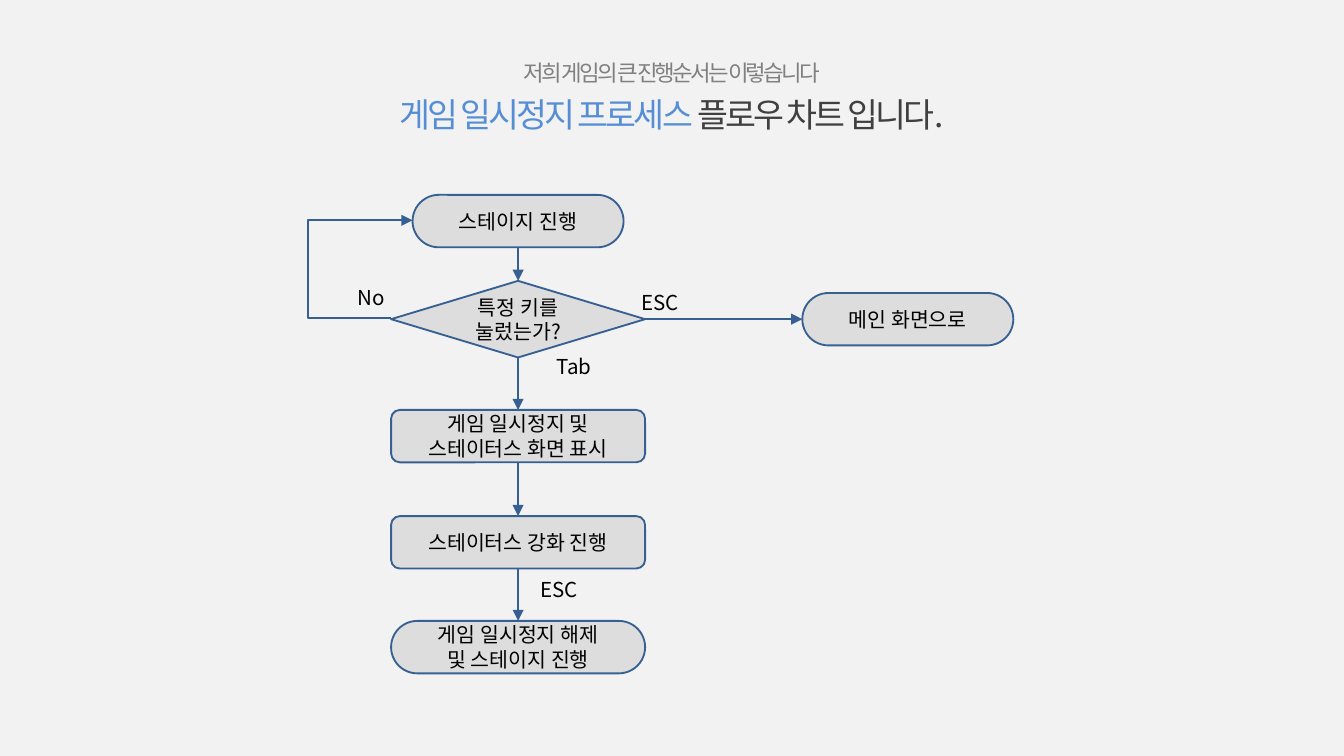
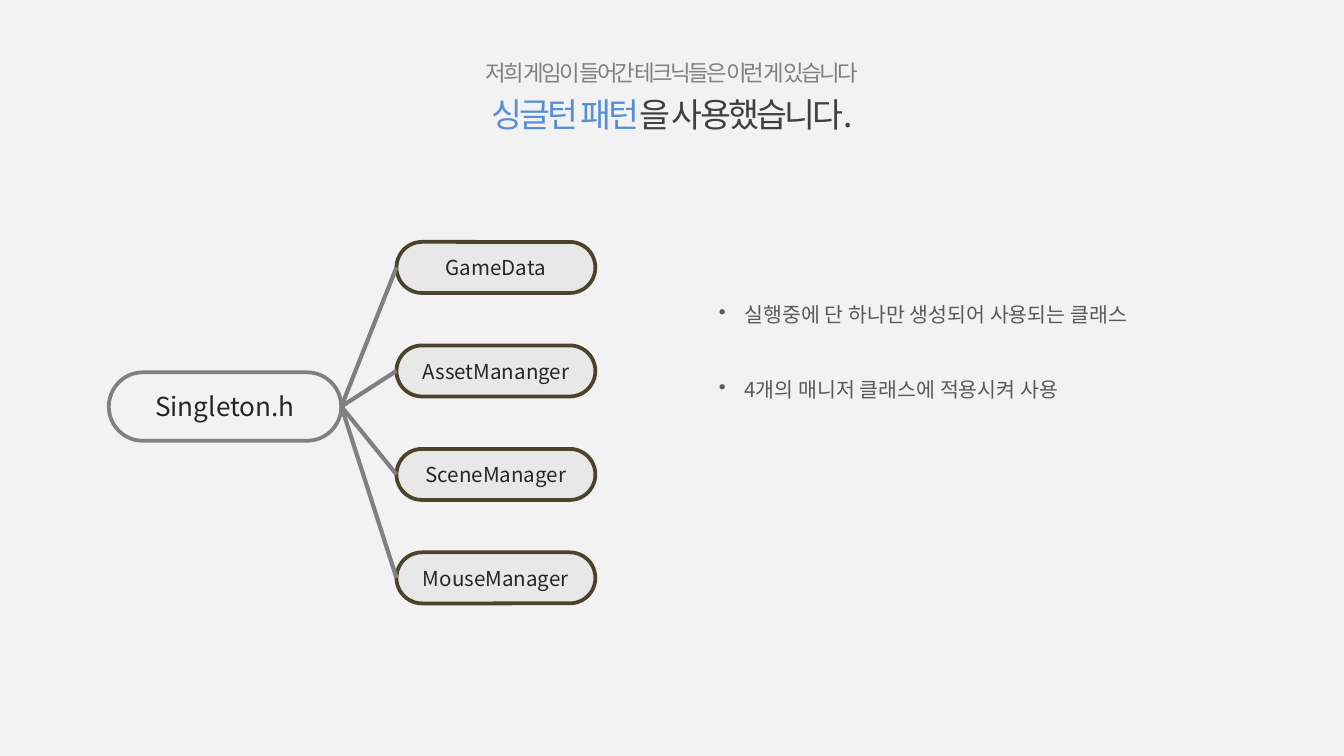
from lxml import etree
from pptx import Presentation, util as u
from pptx.dml.color import RGBColor
from pptx.enum import shapes, text
from pptx.oxml.ns import qn

FONT = "Noto Sans CJK KR"
HUE = {
    "back": "F2F2F2", "lead": "808080", "key": "558ED5", "title": "404040",
    "node": "BFBFBF", "edge": "376092", "black": "000000", "body": "595959",
    "root": "F2F2F2", "wire": "808080", "leaf": "D9D9D9", "rim": "4A452A",
    "name": "262626",
}
KIND = shapes.MSO_SHAPE
PILL, BOX, ASK = (KIND.ROUNDED_RECTANGLE, KIND.FLOWCHART_ALTERNATE_PROCESS,
                  KIND.FLOWCHART_DECISION)
TOP, LEFT, BOTTOM, RIGHT = range(4)  # connection sites
CENTER = text.PP_ALIGN.CENTER


def px(n):
    return u.Emu(int(n * 9144))


def rgb(key):
    return RGBColor.from_string(HUE[key])


def add(node, tag, **attrs):
    return etree.SubElement(node, qn(tag), attrs)


def style(font, size, hue):
    font.size = u.Pt(size)
    font.color.rgb = rgb(hue)
    font.name = FONT
    add(font._element, "a:ea", typeface=FONT)


def textbox(slide, box):
    frame = slide.shapes.add_textbox(*map(px, box)).text_frame
    frame.word_wrap = True
    return frame


def heading(slide, lead, *parts):
    """Small grey lead line above a two-colour title."""
    frame = textbox(slide, (50, 23, 900, 94))
    frame.vertical_anchor = text.MSO_ANCHOR.MIDDLE
    para = frame.paragraphs[0]
    para.alignment, para.line_spacing = CENTER, 1.2
    rows = [(lead, 12, "lead"), (parts[0], 18, "key"), (parts[1], 18, "title")]
    for i, (words, size, hue) in enumerate(rows):
        if i == 1:
            para.add_line_break()
            add(para._p[-1], "a:rPr", sz="1200")
        run = para.add_run()
        run.text = words
        style(run.font, size, hue)
        run.font._element.set("spc", "-150")


def label(slide, x, y, words, w=62):
    frame = textbox(slide, (x, y, w, 34))
    frame.auto_size = text.MSO_AUTO_SIZE.SHAPE_TO_FIT_TEXT
    para = frame.paragraphs[0]
    para.text = words
    para.alignment, para.line_spacing = CENTER, 1.5
    style(para.font, 11, "black")


def bullets(slide, box, items):
    frame = textbox(slide, box)
    frame.auto_size = text.MSO_AUTO_SIZE.SHAPE_TO_FIT_TEXT
    for i, item in enumerate(items):
        para = frame.add_paragraph() if i else frame.paragraphs[0]
        para.text = item
        props = para._p.get_or_add_pPr()
        props.set("marL", str(px(19)))
        props.set("indent", str(px(-19)))
        add(props, "a:buChar", char="•")
        para.line_spacing = 1.5
        if i < len(items) - 1:
            para.space_after = u.Pt(20)
        style(para.font, 11, "body")


def node(slide, kind, box, lines, fill="node", edge="edge", width=1,
         size=11, hue="black"):
    """Outlined shape with a 40% opaque fill and centred lines."""
    shape = slide.shapes.add_shape(kind, *map(px, box))
    shape.shadow.inherit = False
    if kind == PILL:
        shape.adjustments[0] = 0.5
    shape.fill.solid()
    shape.fill.fore_color.rgb = rgb(fill)
    tint = shape._element.spPr.find(".//" + qn("a:srgbClr"))
    add(tint, "a:alpha", val="40000")
    shape.line.color.rgb = rgb(edge)
    shape.line.width = u.Pt(width)
    frame = shape.text_frame
    frame.word_wrap = True
    frame.vertical_anchor = text.MSO_ANCHOR.MIDDLE
    frame.margin_left = frame.margin_right = 0
    frame.margin_top = frame.margin_bottom = 0
    for i, words in enumerate(lines):
        para = frame.add_paragraph() if i else frame.paragraphs[0]
        para.text = words
        para.alignment = CENTER
        style(para.font, size, hue)
    return shape


def wire(slide, ends=(0, 0, 0, 0), bend=None, hue="edge", width=1, arrow=True):
    kinds = shapes.MSO_CONNECTOR
    kind = kinds.STRAIGHT if bend is None else kinds.ELBOW
    line = slide.shapes.add_connector(kind, *map(px, ends))
    line.line.color.rgb = rgb(hue)
    line.line.width = u.Pt(width)
    props = line._element.spPr
    if arrow:
        add(props.find(qn("a:ln")), "a:tailEnd", type="triangle")
    add(props, "a:effectLst")
    if bend is not None:
        guides = props.find(qn("a:prstGeom")).find(qn("a:avLst"))
        add(guides, "a:gd", name="adj1", fmla=f"val {round(bend * 100000)}")
    return line


def link(slide, start, out, end, into, **look):
    """Straight line glued to a site of each shape."""
    line = wire(slide, **look)
    line.begin_connect(start, out)
    line.end_connect(end, into)


def flow(slide):
    heading(slide, "저희 게임의 큰 진행순서는 이렇습니다",
            "게임 일시정지 프로세스 ", "플로우 차트 입니다.")
    steps = [
        (PILL, (307, 145, 157, 39), ["스테이지 진행"]),
        (ASK, (291, 209, 189, 57), ["특정 키를", "눌렀는가?"]),
        (BOX, (291, 305, 189, 39), ["게임 일시정지 및", "스테이터스 화면 표시"]),
        (BOX, (291, 384, 189, 39), ["스테이터스 강화 진행"]),
        (PILL, (291, 462, 189, 39), ["게임 일시정지 해제", "및 스테이지 진행"]),
    ]
    chain = [node(slide, *step) for step in steps]
    home = node(slide, PILL, (597, 218, 157, 39), ["메인 화면으로"])
    for upper, lower in zip(chain, chain[1:]):
        link(slide, upper, BOTTOM, lower, TOP)
    link(slide, chain[1], RIGHT, home, LEFT)
    wire(slide, (291, 237, 307, 164), bend=-3.88)
    label(slide, 245, 198, "No")
    label(slide, 460, 202, "ESC")
    label(slide, 396, 249, "Tab")
    label(slide, 385, 415, "ESC")


def pattern(slide):
    heading(slide, "저희 게임이 들어간 테크닉들은 이런 게 있습니다",
            "싱글턴 패턴", "을 사용했습니다.")
    bullets(slide, (525, 211, 394, 93),
            ["실행중에 단 하나만 생성되어 사용되는 클래스",
             "4개의 매니저 클래스에 적용시켜 사용"])
    root = node(slide, PILL, (81, 277, 173, 51), ["Singleton.h"],
                "root", "wire", 2, 14, "name")
    names = ["GameData", "AssetMananger", "SceneManager", "MouseManager"]
    leaves = [node(slide, PILL, (295, 180 + 77 * i, 148, 38), [name],
                   "leaf", "rim", 2, 11, "name")
              for i, name in enumerate(names)]
    for leaf in leaves:
        link(slide, root, RIGHT, leaf, LEFT, hue="wire", width=2.25, arrow=False)


def main():
    deck = Presentation()
    deck.slide_width, deck.slide_height = px(1000), px(562.5)
    for draw in (flow, pattern):
        slide = deck.slides.add_slide(deck.slide_layouts[6])
        slide.background.fill.solid()
        slide.background.fill.fore_color.rgb = rgb("back")
        draw(slide)
    deck.save("out.pptx")


if __name__ == "__main__":
    main()
